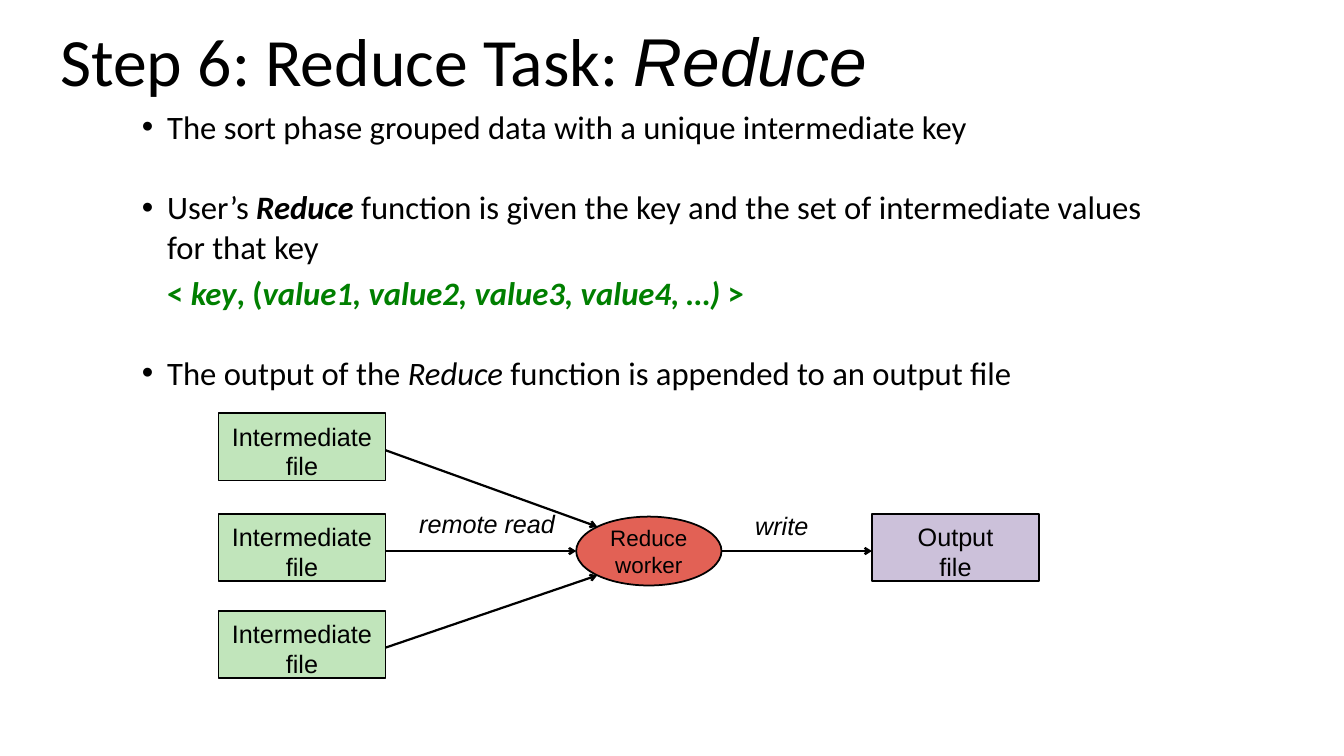
from lxml.etree import SubElement
from pptx import Presentation
from pptx.dml.color import RGBColor
from pptx.enum.shapes import MSO_CONNECTOR, MSO_SHAPE
from pptx.enum.text import MSO_ANCHOR, PP_ALIGN
from pptx.oxml.ns import qn
from pptx.util import Inches, Pt

BLACK = RGBColor(0x00, 0x00, 0x00)
KEY_GREEN = RGBColor(0x00, 0x7F, 0x00)
INPUT_GREEN = RGBColor(0xC1, 0xE5, 0xBB)
WORKER_RED = RGBColor(0xE2, 0x61, 0x55)
OUTPUT_PURPLE = RGBColor(0xCC, 0xC1, 0xDA)

prs = Presentation()
prs.slide_width, prs.slide_height = Inches(16), Inches(9)
slide = prs.slides.add_slide(prs.slide_layouts[6])


def add_text(left, top, width, height, inset_left=0):
    """Add an empty text box with tight margins and return its text frame."""
    frame = slide.shapes.add_textbox(
        Inches(left), Inches(top), Inches(width), Inches(height)).text_frame
    frame.word_wrap = True
    frame.margin_left, frame.margin_top = Inches(inset_left), Inches(0.02)
    frame.margin_right = frame.margin_bottom = 0
    return frame


def add_node(preset, left, top, width, height, fill, label, size, leading):
    """Add an outlined shape of the data flow with a centred label."""
    node = slide.shapes.add_shape(
        preset, Inches(left), Inches(top), Inches(width), Inches(height))
    node.shadow.inherit = False
    node.fill.solid()
    node.fill.fore_color.rgb = fill
    node.line.color.rgb = BLACK
    node.line.width = Pt(1.5)
    frame = node.text_frame
    frame.margin_left = frame.margin_right = 0
    frame.margin_top = frame.margin_bottom = 0
    frame.vertical_anchor = MSO_ANCHOR.MIDDLE
    frame.text = label
    paragraph = frame.paragraphs[0]
    paragraph.alignment = PP_ALIGN.CENTER
    paragraph.line_spacing = Pt(leading)
    paragraph.font.name = "Arial"
    paragraph.font.size = Pt(size)
    paragraph.font.color.rgb = BLACK
    return node


# Title
title = add_text(0.62, 0.2, 11.75, 0.99, inset_left=0.1)
title.vertical_anchor = MSO_ANCHOR.MIDDLE
heading = title.paragraphs[0]
heading.font.size = Pt(58)
heading.font.color.rgb = BLACK
for text, font_name, italic in [("Step 6: Reduce Task: ", "Calibri", False),
                                ("Reduce", "Arial", True)]:
    run = heading.add_run()
    run.text = text
    run.font.name = font_name
    run.font.italic = italic

# Body: (bulleted, space before, colour, [(text, bold, italic)])
points = [
    (True, 0, BLACK,
     [("The sort phase grouped data with a unique intermediate key", False, False)]),
    (True, 35.4, BLACK,
     [("User’s ", False, False), ("Reduce ", True, True),
      ("function is given the key and the set of intermediate values for that key",
       False, False)]),
    (False, 5.8, KEY_GREEN,
     [("< ", True, False), ("key", True, True), (", (", True, False),
      ("value1, value2, value3, value4, …) ", True, True), (">", True, False)]),
    (True, 35.4, BLACK,
     [("The output of the ", False, False), ("Reduce ", False, True),
      ("function is appended to an output file", False, False)]),
]
body = add_text(1.67, 1.25, 12.33, 3.43)
for index, (bulleted, space_before, color, pieces) in enumerate(points):
    point = body.add_paragraph() if index else body.paragraphs[0]
    properties = point._p.get_or_add_pPr()
    properties.set("marL", str(Inches(0.32)))
    if bulleted:
        properties.set("indent", str(Inches(-0.3)))
        SubElement(properties, qn("a:buFont")).set("typeface", "Arial")
        SubElement(properties, qn("a:buChar")).set("char", "•")
    point.space_before = Pt(space_before)
    point.font.name = "Calibri"
    point.font.size = Pt(28)
    point.font.color.rgb = color
    for text, bold, italic in pieces:
        run = point.add_run()
        run.text = text
        run.font.bold = bold
        run.font.italic = italic

# Data flow: intermediate files -> reduce worker -> output file
INPUT_LEFT, OUTPUT_LEFT = 2.6, 10.38
FILE_WIDTH, FILE_HEIGHT = 1.99, 0.8
INPUT_TOPS = TOP, MIDDLE, BOTTOM = 4.92, 6.12, 7.27
ARROW_DROP = 0.44  # from the top of a file to its arrow
ARROW_Y = MIDDLE + ARROW_DROP
INPUT_RIGHT = INPUT_LEFT + FILE_WIDTH

files = [(INPUT_LEFT, top, INPUT_GREEN, "Intermediate\vfile") for top in INPUT_TOPS]
files.append((OUTPUT_LEFT, MIDDLE, OUTPUT_PURPLE, "Output\vfile"))
for left, top, fill, label in files:
    file_box = add_node(MSO_SHAPE.RECTANGLE, left, top, FILE_WIDTH, FILE_HEIGHT,
                        fill, label, 21.6, 25.3)
    file_box.text_frame.margin_top = Inches(0.1)
    file_box.text_frame.vertical_anchor = MSO_ANCHOR.TOP

add_node(MSO_SHAPE.OVAL, 6.86, 6.15, 1.73, 0.82, WORKER_RED,
         "Reduce\vworker", 19.2, 22.8)

for start_x, start_y, end_x, end_y in [
        (INPUT_RIGHT, TOP + ARROW_DROP, 7.11, 6.27),
        (INPUT_RIGHT, ARROW_Y, 6.86, ARROW_Y),
        (INPUT_RIGHT, BOTTOM + ARROW_DROP, 7.11, 6.85),
        (8.59, ARROW_Y, OUTPUT_LEFT, ARROW_Y)]:
    arrow = slide.shapes.add_connector(
        MSO_CONNECTOR.STRAIGHT, Inches(start_x), Inches(start_y),
        Inches(end_x), Inches(end_y))
    arrow.line.color.rgb = BLACK
    arrow.line.width = Pt(1.9)
    SubElement(arrow.line._get_or_add_ln(), qn("a:tailEnd")).set("type", "arrow")
    SubElement(arrow._element.spPr, qn("a:effectLst"))

# Arrow labels
for left, top, width, label in [(4.97, 6.03, 1.75, "remote read"),
                                (8.97, 6.06, 0.8, "write")]:
    frame = add_text(left, top, width, 0.38, inset_left=0.02)
    frame.text = label
    caption = frame.paragraphs[0]
    caption.font.name = "Arial"
    caption.font.size = Pt(21.6)
    caption.font.italic = True
    caption.font.color.rgb = BLACK

prs.save("out.pptx")
